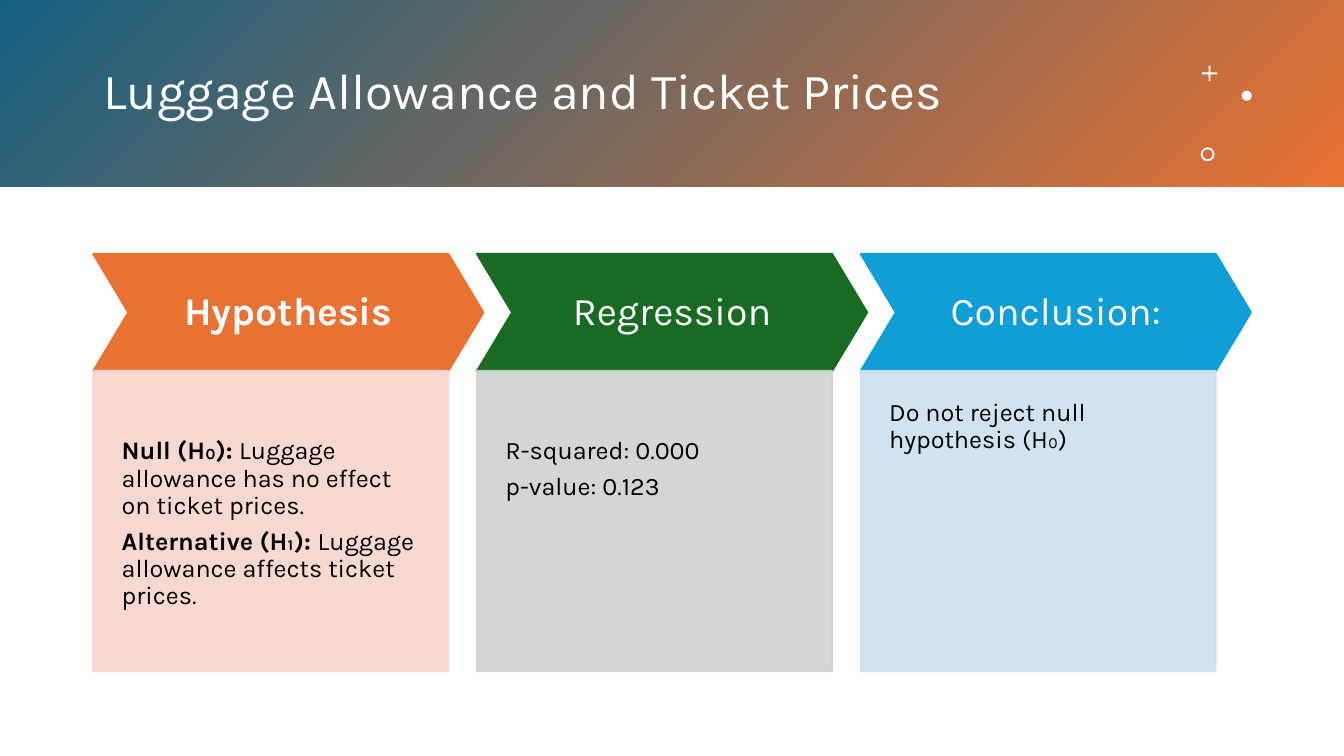
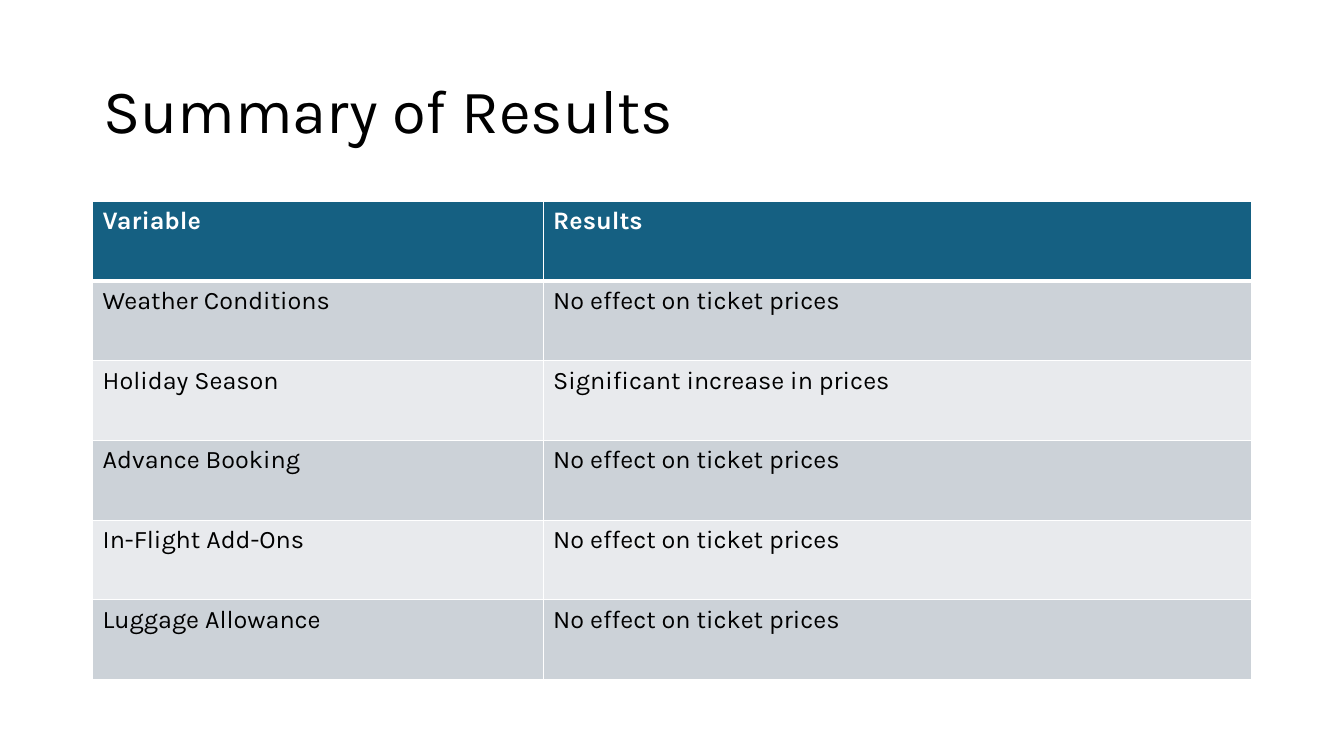
"""Build two slides: a luggage allowance test and a summary table of results."""
from lxml import etree
from pptx import Presentation
from pptx.dml.color import RGBColor
from pptx.enum import shapes, text
from pptx.oxml import ns
from pptx.util import Pt

FONT = "Karla"
WHITE, BLACK, TEAL, ORANGE = "FFFFFF", "000000", "156082", "E97132"
STRIPES = ("E8EAED", "CCD2D8")
KIND, MIDDLE = shapes.MSO_SHAPE, text.MSO_ANCHOR.MIDDLE
LEFT = 66.7

STAGES = [
    {"heading": "Hypothesis", "bold": True, "colour": ORANGE, "tint": "F7D5CE", "top_inset": 48,
     "body": [[("Null (H₀): ", True), ("Luggage allowance has no effect on ticket prices.", False)],
              [("Alternative (H₁): ", True), ("Luggage allowance affects ticket prices.", False)]]},
    {"heading": "Regression", "bold": False, "colour": "196B24", "tint": "CCD4CD", "top_inset": 48,
     "body": [[("R-squared: 0.000", False)], [("p-value: 0.123", False)]]},
    {"heading": "Conclusion:", "bold": False, "colour": "0F9ED5", "tint": "CCDFEF", "top_inset": 20.2,
     "body": [[("Do not reject null hypothesis (H₀)", False)]]},
]
ORNAMENTS = [
    (KIND.CROSS, 858.5, 46.9, 11, 0.44),
    (KIND.OVAL, 887, 64.8, 7.2, None),
    (KIND.DONUT, 857.6, 105.2, 10, 0.14),
]
RESULTS = [
    ("Variable", "Results"),
    ("Weather Conditions", "No effect on ticket prices"),
    ("Holiday Season", "Significant increase in prices"),
    ("Advance Booking", "No effect on ticket prices"),
    ("In-Flight Add-Ons", "No effect on ticket prices"),
    ("Luggage Allowance", "No effect on ticket prices"),
]


def rgb(colour):
    """Turn a hex string into a colour."""
    return RGBColor.from_string(colour)


def apply(target, values):
    """Set each named attribute on the target."""
    for name, value in values.items():
        setattr(target, name, value)


def write(frame, paragraphs, size, colour, para_format=None, **frame_format):
    """Fill a text frame with paragraphs of (words, bold) spans."""
    apply(frame, {"word_wrap": True, **frame_format})
    for index, spans in enumerate(paragraphs):
        para = frame.add_paragraph() if index else frame.paragraphs[0]
        apply(para, para_format or {})
        for words, bold in spans:
            span = para.add_run()
            span.text = words
            apply(span.font, {"name": FONT, "size": Pt(size), "bold": bold})
            span.font.color.rgb = rgb(colour)


def add_shape(page, kind, left, top, width, height, fill, outlined=False, adjust=None):
    """Add a flat preset shape, with an outline of its own colour if asked."""
    shape = page.shapes.add_shape(kind, Pt(left), Pt(top), Pt(width), Pt(height))
    shape.shadow.inherit = False
    shape.fill.solid()
    shape.fill.fore_color.rgb = rgb(fill)
    if outlined:
        shape.line.color.rgb = rgb(fill)
        shape.line.width = Pt(1.5)
    else:
        shape.line.fill.background()
    if adjust is not None:
        shape.adjustments[0] = adjust
    return shape


def add_title(page, words, top, width, height, size, colour):
    """Add the slide title."""
    box = page.shapes.add_textbox(Pt(LEFT), Pt(top), Pt(width), Pt(height))
    write(box.text_frame, [[(words, False)]], size, colour,
          {"line_spacing": 0.9}, vertical_anchor=MIDDLE)


def set_opacity(shape, percent):
    """Make the fill and outline of a shape partly transparent."""
    for colour in list(shape._element.spPr.iter(ns.qn("a:srgbClr"))):
        etree.SubElement(colour, ns.qn("a:alpha"), val=str(percent * 1000))


def add_band(page):
    """Add the gradient band with its ornaments."""
    band = add_shape(page, KIND.RECTANGLE, 0, 0, 960, 133.4, TEAL)
    band.fill.gradient()
    band.fill.gradient_angle = 315
    for stop, colour in zip(band.fill.gradient_stops, (TEAL, ORANGE)):
        stop.color.rgb = rgb(colour)
    for kind, left, top, size, adjust in ORNAMENTS:
        add_shape(page, kind, left, top, size, size, WHITE, adjust=adjust)


def add_stage(page, left, stage):
    """Add a chevron heading with its panel below."""
    top, height = 181.4, 83.6
    spacing = {"line_spacing": 0.9, "space_after": Pt(6.3)}
    chevron = add_shape(page, KIND.CHEVRON, left, top, 278.6, height,
                        stage["colour"], True, 0.3)
    write(chevron.text_frame, [[(stage["heading"], stage["bold"])]], 28, WHITE,
          {"line_spacing": 0.9, "alignment": text.PP_ALIGN.CENTER},
          vertical_anchor=MIDDLE, margin_left=0, margin_right=0)
    panel = add_shape(page, KIND.RECTANGLE, left, top + height, 253.4, 214.4,
                      stage["tint"], True)
    set_opacity(panel, 90)
    write(panel.text_frame, stage["body"], 18, BLACK,
          {**spacing, "alignment": text.PP_ALIGN.LEFT},
          vertical_anchor=text.MSO_ANCHOR.TOP, margin_left=Pt(20.2), margin_right=Pt(20.2),
          margin_top=Pt(stage["top_inset"]), margin_bottom=Pt(40.3))


def add_borders(cell, widths):
    """Draw white borders on a cell, given a width for each side."""
    properties = cell._tc.get_or_add_tcPr()
    for side, width in widths.items():
        line = etree.SubElement(properties, ns.qn(f"a:ln{side}"), w=str(Pt(width)))
        fill = etree.SubElement(line, ns.qn("a:solidFill"))
        etree.SubElement(fill, ns.qn("a:srgbClr"), val=WHITE)


def add_results(page):
    """Add the results table."""
    widths, row_height = (321.8, 506.2), 56.9
    table = page.shapes.add_table(len(RESULTS), len(widths), Pt(LEFT - 0.5), Pt(144),
                                  Pt(sum(widths)), Pt(row_height * len(RESULTS))).table
    for column, width in zip(table.columns, widths):
        column.width = Pt(width)
    for index, values in enumerate(RESULTS):
        header = index == 0
        table.rows[index].height = Pt(row_height)
        for cell, words in zip(table.rows[index].cells, values):
            add_borders(cell, {"L": 1, "R": 1, "T": 3 if index == 1 else 1, "B": 3 if header else 1})
            cell.fill.solid()
            cell.fill.fore_color.rgb = rgb(TEAL if header else STRIPES[index % 2])
            write(cell.text_frame, [[(words, header)]], 18, WHITE if header else BLACK)


def main():
    """Build and save the deck."""
    deck = Presentation()
    apply(deck, {"slide_width": Pt(960), "slide_height": Pt(540)})
    blank = deck.slide_layouts[6]

    page = deck.slides.add_slide(blank)
    add_band(page)
    add_title(page, "Luggage Allowance and Ticket Prices", 23.8, 774, 85.7, 36, WHITE)
    for index, stage in enumerate(STAGES):
        add_stage(page, LEFT + 274.1 * index, stage)

    page = deck.slides.add_slide(blank)
    add_title(page, "Summary of Results", 28.8, 828, 104.4, 44, BLACK)
    add_results(page)
    deck.save("out.pptx")


if __name__ == "__main__":
    main()
